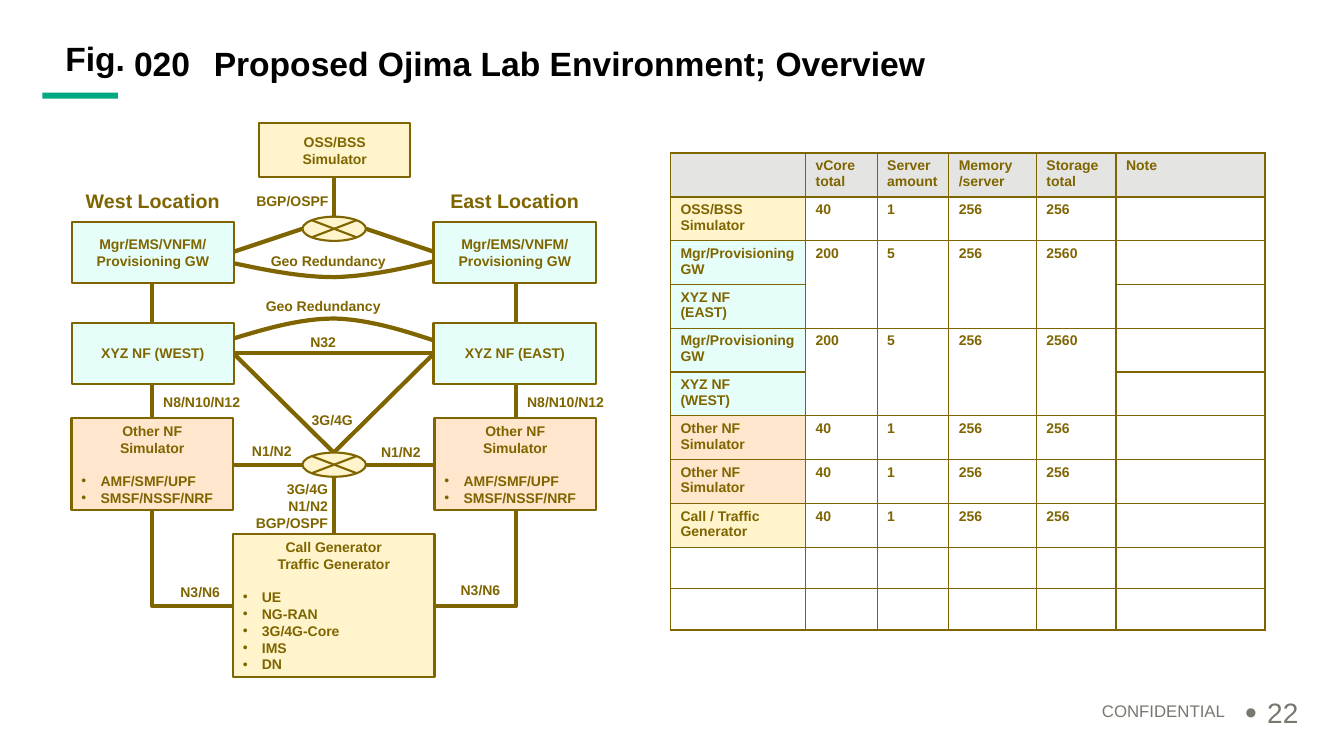
from pptx import Presentation
from pptx.dml.color import RGBColor
from pptx.enum.shapes import MSO_CONNECTOR, MSO_SHAPE
from pptx.enum.text import MSO_ANCHOR, MSO_AUTO_SIZE, PP_ALIGN
from pptx.oxml.ns import qn
from pptx.util import Inches, Pt
from lxml.etree import SubElement

COLORS = {
    "olive": "7F6500", "cream": "FFF4CC", "peach": "FFE6CC", "mint": "E5FEF9",
    "head": "E4E4E2", "green": "01A982", "grey": "787871", "black": "000000",
}
CENTER, LEFT, RIGHT = PP_ALIGN.CENTER, PP_ALIGN.LEFT, PP_ALIGN.RIGHT
STEPS = 12


def grid(*cells):
    return [Inches(round(cell / 10, 3)) for cell in cells]


def hue(name):
    return RGBColor.from_string(COLORS[name])


def bullet(para, indent, scale):
    props = para._p.get_or_add_pPr()
    props.set("marL", str(Inches(indent)))
    props.set("indent", str(-Inches(indent)))
    SubElement(props, qn("a:buSzPct")).set("val", str(scale * 1000))
    SubElement(props, qn("a:buFont")).set("typeface", "Arial")
    SubElement(props, qn("a:buChar")).set("char", "•")


def write(frame, heads, items=(), align=CENTER, size=10, color="olive",
          bold=True, space=1.0, indent=0.19, scale=100):
    for row, line in enumerate([*heads, *items]):
        para = frame.paragraphs[0] if row == 0 else frame.add_paragraph()
        listed = row >= len(heads)
        if listed:
            bullet(para, indent, scale)
        para.alignment = LEFT if listed else align
        para.line_spacing = space
        para.space_before = Pt(11.5 if listed and row == len(heads) > 0 else 0)
        run = para.add_run()
        run.text = line
        font = run.font
        font.name, font.size, font.bold = "Arial", Pt(size), bold
        font.color.rgb = hue(color)


def label(slide, place, lines, anchor=MSO_ANCHOR.MIDDLE, pad=None, **style):
    frame = slide.shapes.add_textbox(*grid(*place)).text_frame
    frame.word_wrap = True
    frame.vertical_anchor = anchor
    if pad is not None:
        frame.margin_left = frame.margin_right = pad
        frame.margin_top = frame.margin_bottom = pad
    write(frame, lines, **style)


def holder(shape, place, text):
    shape.left, shape.top, shape.width, shape.height = grid(*place)
    frame = shape.text_frame
    frame.auto_size = MSO_AUTO_SIZE.NONE
    frame.word_wrap = True
    frame.vertical_anchor = MSO_ANCHOR.TOP
    props = frame.paragraphs[0]._p.get_or_add_pPr()
    props.set("marL", "0")
    props.set("indent", "0")
    SubElement(props, qn("a:buNone"))
    write(frame, [text], align=LEFT, size=24, color="black", space=0.9)


def block(slide, place, fill, heads=(), items=(), kind=MSO_SHAPE.RECTANGLE, edge=True):
    shape = slide.shapes.add_shape(kind, *grid(*place))
    shape.shadow.inherit = False
    shape.fill.solid()
    shape.fill.fore_color.rgb = hue(fill)
    if edge:
        shape.line.color.rgb = hue("olive")
        shape.line.width = Pt(1.5)
    else:
        shape.line.fill.background()
    shape.text_frame.word_wrap = True
    shape.text_frame.vertical_anchor = MSO_ANCHOR.MIDDLE
    write(shape.text_frame, heads, items)


def link(slide, start, end, bent=False):
    line = slide.shapes.add_connector(MSO_CONNECTOR.STRAIGHT, *grid(*start, *end))
    line.line.color.rgb = hue("olive")
    line.line.width = Pt(3)
    props = line._element.spPr
    if bent:
        props.find(qn("a:prstGeom")).set("prst", "bentConnector2")
    SubElement(props, qn("a:effectLst"))


def bezier(points, t):
    parts = zip((1, 3, 3, 1), range(4), points)
    terms = [(k * t**n * (1 - t)**(3 - n), spot) for k, n, spot in parts]
    return tuple(Inches(sum(w * spot[axis] for w, spot in terms) / 10) for axis in (0, 1))


def curve(slide, rows):
    cols = (23.1, 26.4, 29.8, 33.2, 36.5, 39.8, 43.1)
    spots = list(zip(cols, rows))
    dots = [bezier(spots[k:k + 4], n / STEPS) for k in (0, 3) for n in range(STEPS + 1)]
    path = slide.shapes.build_freeform(*dots[0])
    path.add_line_segments(dots[1:], close=False)
    shape = path.convert_to_shape()
    shape.shadow.inherit = False
    shape.fill.background()
    shape.line.color.rgb = hue("olive")
    shape.line.width = Pt(3)


def border(cell, sides):
    props = cell._tc.get_or_add_tcPr()
    for side, width in sides.items():
        line = SubElement(props, qn("a:ln" + side), w=str(Pt(width)))
        fill = SubElement(line, qn("a:solidFill"))
        SubElement(fill, qn("a:srgbClr")).set("val", COLORS["olive"])


def sizing(slide):
    small, large = ["40", "1", "256", "256"], ["200", "5", "256", "2560"]
    other = ("peach", ["Other NF", "Simulator"], small)
    manager = ("mint", ["Mgr/Provisioning GW"], large)
    rows = [
        ("cream", ["OSS/BSS", "Simulator"], small),
        manager, ("mint", ["XYZ NF", "(EAST)"], []),
        manager, ("mint", ["XYZ NF", "(WEST)"], []),
        other, other,
        ("cream", ["Call / Traffic", "Generator"], small),
        (None, [], []), (None, [], []),
    ]
    heads = [[], ["vCore", "total"], ["Server", "amount"], ["Memory", "/server"],
             ["Storage", "total"], ["Note"]]
    data = [heads] + [[name] + [[v] for v in vals] for _, name, vals in rows]
    count, wide = len(data), (13.4, 7.1, 7.1, 8.7, 7.9, 14.8)
    table = slide.shapes.add_table(
        count, len(wide), *grid(66.5, 15.2, sum(wide), 4.1 * count)).table
    table.first_row = table.horz_banding = False
    for col, width in zip(table.columns, grid(*wide)):
        col.width = width
    for r in range(count):
        table.rows[r].height = grid(4.1)[0]
        for c in range(len(wide)):
            cell = table.cell(r, c)
            border(cell, {"L": 1 if c else 1.5, "R": 1.5 if c == len(wide) - 1 else 1,
                          "T": 1 if r else 1.5, "B": 1.5 if r == count - 1 else 1})
            fill = "head" if r == 0 else rows[r - 1][0] if c == 0 else None
            if fill:
                cell.fill.solid()
                cell.fill.fore_color.rgb = hue(fill)
            else:
                cell.fill.background()
            if c < len(data[r]):
                write(cell.text_frame, data[r][c], align=LEFT)
    for r in (2, 4):
        for c in range(1, 5):
            table.cell(r, c).merge(table.cell(r + 1, c))


def links(slide):
    for rows in ((33.6, 32.6, 31.6, 31.6, 31.7, 32.7, 33.8),
                 (26.1, 26.8, 27.5, 27.5, 27.4, 26.7, 25.9)):
        curve(slide, rows)
    for inner, mid, hub in ((23.1, 15.1, 30), (43.1, 51.2, 36.3)):
        link(slide, (mid, 41.5), (mid, 38.1))
        link(slide, (mid, 32), (mid, 28))
        link(slide, (inner, 60.1), (mid, 50.6), bent=True)
        link(slide, (inner, 46.1), (hub, 46.1))
        link(slide, (inner, 35), (33.1, 44.9))
        link(slide, (inner, 25), (hub, 22.7))
    link(slide, (23.1, 35), (43.1, 35))
    for top, end in ((17.6, 21.5), (47.3, 53)):
        link(slide, (33.1, top), (33.1, end))


def blocks(slide):
    block(slide, (25.7, 12.2, 15, 5.4), "cream", ["OSS/BSS", "Simulator"])
    block(slide, (23.1, 53, 20, 14.2), "cream", ["Call Generator", "Traffic Generator"],
          ["UE", "NG-RAN", "3G/4G-Core", "IMS", "DN"])
    for top in (21.5, 44.9):
        block(slide, (30, top, 6.3, 2.4), "cream", kind=MSO_SHAPE.FLOWCHART_SUMMING_JUNCTION)
    for side, left, low in (("West", 7.1, 7.1), ("East", 43, 43.1)):
        label(slide, (left, 18, 16.1, 3.9), [side + " Location"], size=14)
        block(slide, (left, 22, 16.1, 6.1), "mint", ["Mgr/EMS/VNFM/", "Provisioning GW"])
        block(slide, (left, 32, 16.1, 6.1), "mint", [f"XYZ NF ({side.upper()})"])
        block(slide, (low, 41.5, 16, 9.1), "peach", ["Other NF", "Simulator"],
              ["AMF/SMF/UPF", "SMSF/NSSF/NRF"])


def labels(slide):
    for text, left, top, width in (
            ("BGP/OSPF", 24, 18, 10), ("Geo Redundancy", 25.2, 23.9, 14.7),
            ("Geo Redundancy", 24.7, 28.4, 14.7), ("N32", 28.1, 32, 7.9),
            ("N8/N10/N12", 15, 37.9, 10), ("N8/N10/N12", 51.1, 37.9, 10),
            ("3G/4G", 29, 39.7, 7.9), ("N1/N2", 23, 42.8, 7.9),
            ("N1/N2", 35.8, 42.9, 7.9), ("N3/N6", 15.9, 56.8, 7.9),
            ("N3/N6", 43.7, 56.6, 7.9)):
        label(slide, (left, top, width, 3.9), [text])
    label(slide, (23.6, 47.2, 9.9, 6), ["3G/4G", "N1/N2", "BGP/OSPF"], align=RIGHT)


def main():
    deck = Presentation()
    deck.slide_width, deck.slide_height = grid(133.3, 75)
    slide = deck.slides.add_slide(deck.slide_layouts[1])
    holder(slide.shapes.title, (20.2, 4.2, 109, 4.7), "Proposed Ojima Lab Environment; Overview")
    holder(slide.placeholders[1], (12.3, 4.2, 7.9, 4.7), "020")
    block(slide, (4.2, 9.2, 7.5, 0.6), "green", edge=False)
    label(slide, (4.5, 4.2, 7.9, 4.7), ["Fig."], MSO_ANCHOR.TOP, pad=0,
          align=RIGHT, size=24, color="black", space=0.9)
    label(slide, (77.5, 69.3, 45, 2.4), ["CONFIDENTIAL"], MSO_ANCHOR.TOP,
          align=RIGHT, size=12, color="grey", bold=False, space=0.9)
    label(slide, (122.5, 68.9, 7.5, 4), [], items=["22"], size=20, color="grey",
          bold=False, space=0.9, indent=0.22, scale=120)
    links(slide)
    blocks(slide)
    labels(slide)
    sizing(slide)
    deck.save("out.pptx")


if __name__ == "__main__":
    main()
